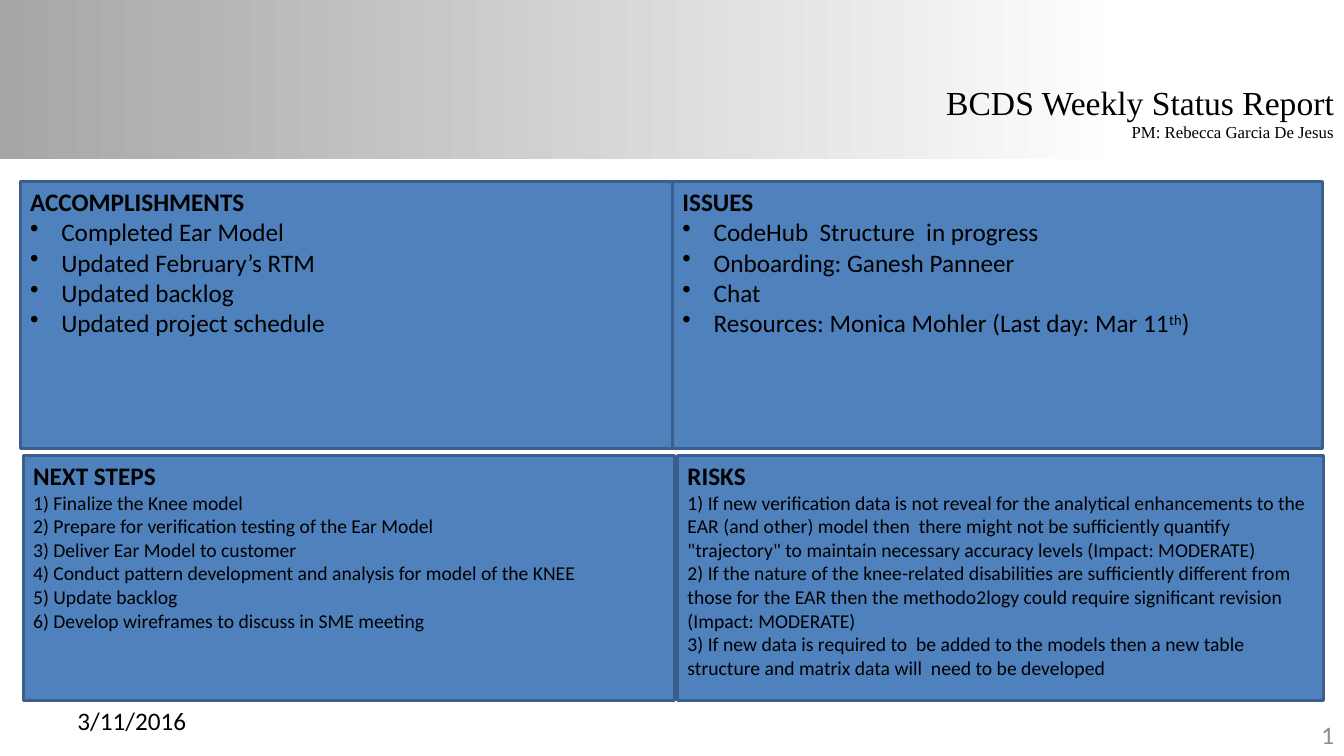
import pptx
import pptx.util
import pptx.dml.color
import pptx.enum.shapes
import pptx.enum.text
import pptx.oxml.ns
import lxml.etree

Inches, Pt = pptx.util.Inches, pptx.util.Pt
RGBColor = pptx.dml.color.RGBColor
Align, Anchor = pptx.enum.text.PP_ALIGN, pptx.enum.text.MSO_ANCHOR

BLACK = RGBColor(0x00, 0x00, 0x00)
WHITE = RGBColor(0xFF, 0xFF, 0xFF)
BAND_GRAY = RGBColor(0xA6, 0xA6, 0xA6)
NUMBER_GRAY = RGBColor(0x8C, 0x8C, 0x8C)
PANEL_BLUE = RGBColor(0x4F, 0x81, 0xBD)
PANEL_EDGE = RGBColor(0x3A, 0x5F, 0x8C)


class StatusSlide:
    body_font = "Calibri"
    title_font = "Times New Roman"
    bullet_indent = Inches(0.31)

    def __init__(self, slide):
        self.slide = slide

    def rectangle(self, left, top, width, height):
        rect = self.slide.shapes.add_shape(
            pptx.enum.shapes.MSO_SHAPE.RECTANGLE,
            Inches(left), Inches(top), Inches(width), Inches(height))
        rect.shadow.inherit = False
        return rect

    def band(self, left, top, width, height):
        band = self.rectangle(left, top, width, height)
        band.line.fill.background()
        band.fill.gradient()
        band.fill.gradient_angle = 0
        stops = ((0, BAND_GRAY), (0.84, WHITE))
        for stop, (position, color) in zip(band.fill.gradient_stops, stops):
            stop.position = position
            stop.color.rgb = color

    def run(self, paragraph, text, size, font, color=BLACK, bold=False, raised=False):
        run = paragraph.add_run()
        run.text = text
        run.font.size = Pt(size)
        run.font.name = font
        run.font.bold = bold
        run.font.color.rgb = color
        if raised:
            run.font._element.set("baseline", "30000")

    def bullet(self, paragraph):
        properties = paragraph._p.get_or_add_pPr()
        properties.set("marL", str(self.bullet_indent))
        properties.set("indent", str(-self.bullet_indent))
        mark = lxml.etree.SubElement(properties, pptx.oxml.ns.qn("a:buChar"))
        mark.set("char", "•")

    def label(self, left, top, width, height, lines, font=body_font, color=BLACK,
              align=Align.LEFT, anchor=Anchor.MIDDLE, wrap=True):
        box = self.slide.shapes.add_textbox(
            Inches(left), Inches(top), Inches(width), Inches(height))
        frame = box.text_frame
        frame.word_wrap = wrap
        frame.vertical_anchor = anchor
        for index, (text, size) in enumerate(lines):
            paragraph = frame.add_paragraph() if index else frame.paragraphs[0]
            paragraph.alignment = align
            self.run(paragraph, text, size, font, color)

    def panel(self, left, top, width, height, heading, items, size, bulleted):
        """Each item is a list of text pieces; every second piece is superscript."""
        panel = self.rectangle(left, top, width, height)
        panel.fill.solid()
        panel.fill.fore_color.rgb = PANEL_BLUE
        panel.line.color.rgb = PANEL_EDGE
        panel.line.width = Pt(2)
        frame = panel.text_frame
        frame.word_wrap = True
        frame.vertical_anchor = Anchor.TOP
        frame.paragraphs[0].alignment = Align.LEFT
        self.run(frame.paragraphs[0], heading, 18, self.body_font, bold=True)
        for pieces in items:
            paragraph = frame.add_paragraph()
            paragraph.alignment = Align.LEFT
            if bulleted:
                self.bullet(paragraph)
            for index, piece in enumerate(pieces):
                self.run(paragraph, piece, size, self.body_font, raised=index % 2 == 1)


ACCOMPLISHMENTS = [
    ["Completed Ear Model"],
    ["Updated February’s RTM"],
    ["Updated backlog"],
    ["Updated project schedule"],
]
NEXT_STEPS = [
    ["1) Finalize the Knee model"],
    ["2) Prepare for verification testing of the Ear Model"],
    ["3) Deliver Ear Model to customer"],
    ["4) Conduct pattern development and analysis for model of the KNEE"],
    ["5) Update backlog"],
    ["6) Develop wireframes to discuss in SME meeting"],
]
ISSUES = [
    ["CodeHub  Structure  in progress"],
    ["Onboarding: Ganesh Panneer"],
    ["Chat"],
    ["Resources: Monica Mohler (Last day: Mar 11", "th", ")"],
]
RISKS = [
    ["1) If new verification data is not reveal for the analytical enhancements to the "
     "EAR (and other) model then  there might not be sufficiently quantify "
     "\"trajectory\" to maintain necessary accuracy levels (Impact: MODERATE)"],
    ["2) If the nature of the knee-related disabilities are sufficiently different from "
     "those for the EAR then the methodo2logy could require significant revision "
     "(Impact: MODERATE)"],
    ["3) If new data is required to  be added to the models then a new table "
     "structure and matrix data will  need to be developed"],
]


def main():
    deck = pptx.Presentation()
    deck.slide_width, deck.slide_height = Inches(13.33), Inches(7.5)
    report = StatusSlide(deck.slides.add_slide(deck.slide_layouts[6]))

    # Header band, footer and title
    report.band(0, 0, 13.33, 1.58)
    report.label(10.22, 7.09, 3.11, 0.4, [("1", 18)], color=NUMBER_GRAY, align=Align.RIGHT)
    report.label(0.67, 6.95, 3.11, 0.4, [("3/11/2016", 18)])
    report.label(9.25, 0.76, 4.08, 0.71,
                 [("BCDS Weekly Status Report", 24), ("PM: Rebecca Garcia De Jesus", 12)],
                 font=report.title_font, align=Align.RIGHT, anchor=Anchor.TOP, wrap=False)

    # Four status panels: bulleted above, numbered below
    upper, lower = (1.8, 2.65, 18, True), (4.52, 2.43, 14, False)
    for left, width, heading, items, (top, height, size, bulleted) in (
            (0.2, 6.48, "ACCOMPLISHMENTS", ACCOMPLISHMENTS, upper),
            (0.23, 6.46, "NEXT STEPS", NEXT_STEPS, lower),
            (6.67, 6.45, "ISSUES", ISSUES, upper),
            (6.72, 6.41, "RISKS", RISKS, lower)):
        report.panel(left, top, width, height, heading, items, size, bulleted)

    deck.save("out.pptx")


if __name__ == "__main__":
    main()
